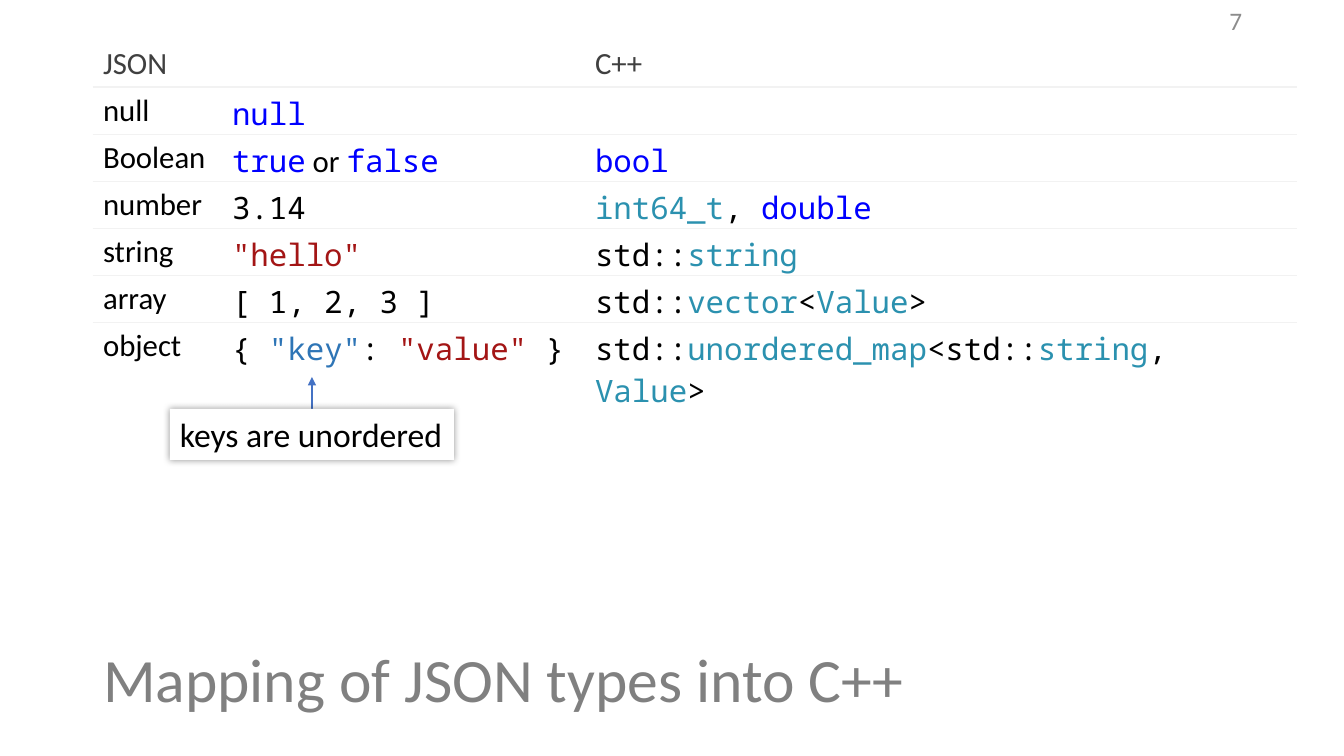
from lxml.etree import SubElement
from pptx import Presentation
from pptx.dml.color import RGBColor
from pptx.enum.shapes import MSO_CONNECTOR as Connector, MSO_SHAPE as Shape
from pptx.enum.text import MSO_ANCHOR as Anchor, MSO_AUTO_SIZE as AutoSize, PP_ALIGN as Align
from pptx.oxml import parse_xml
from pptx.oxml.ns import nsdecls, qn
from pptx.util import Pt

PX = 914400 / 100.8
COLORS = {
    "title": "808080", "number": "8C8C8C", "header": "404040", "text": "000000",
    "keyword": "0000FF", "type": "2B91AF", "literal": "A31515", "key": "2E75B6",
    "rule": "F2F2F2", "arrow": "4472C4", "paper": "FFFFFF",
}
SANS, MONO = "Calibri", "Noto Sans Mono"
NO_STYLE = "{2D5ABB26-0587-4C30-8999-92F81FD0307C}"
COLUMNS = [129, 363, 712]
ROW_HEIGHT = 41
STD = ("std::", "text")
ROWS = [
    ("null", [("null", "keyword")], []),
    ("Boolean", [("true", "keyword"), (" or ", "text", SANS), ("false", "keyword")],
     [("bool", "keyword")]),
    ("number", [("3.14", "text")],
     [("int64_t", "type"), (", ", "text"), ("double", "keyword")]),
    ("string", [('"hello"', "literal")], [STD, ("string", "type")]),
    ("array", [("[ 1, 2, 3 ]", "text")],
     [STD, ("vector", "type"), ("<", "text"), ("Value", "type"), (">", "text")]),
    ("object",
     [("{ ", "text"), ('"key"', "key"), (": ", "text"), ('"value"', "literal"), (" }", "text")],
     [STD, ("unordered_map", "type"), ("<std::", "text"), ("string", "type"),
      (", ", "text"), ("Value", "type"), (">", "text")]),
]


def px(length):
    """Turn px into EMU."""
    return round(length * PX)


def color(name):
    """Return a named colour."""
    return RGBColor.from_string(COLORS[name])


def add_span(para, text, tint, size, font=SANS):
    """Append one formatted run to a paragraph."""
    span = para.add_run()
    span.text = text
    span.font.name = font
    span.font.size = Pt(size)
    span.font.color.rgb = color(tint)


def add_title(page, box, text):
    """Move the title placeholder into the box and fill it."""
    title = page.shapes.title
    title.left, title.top, title.width, title.height = map(px, box)
    frame = title.text_frame
    frame.auto_size = AutoSize.NONE
    frame.vertical_anchor = Anchor.MIDDLE
    para = frame.paragraphs[0]
    para.alignment = Align.LEFT
    para.line_spacing = 0.9
    add_span(para, text, "title", 44)


def add_page_number(page, box, number):
    """Write the page number at the right of the box."""
    frame = page.shapes.add_textbox(*map(px, box)).text_frame
    frame.word_wrap = True
    frame.vertical_anchor = Anchor.MIDDLE
    para = frame.paragraphs[0]
    para.alignment = Align.RIGHT
    add_span(para, number, "number", 18)


def add_rule(cell, side):
    """Draw a thin line on one side of a cell."""
    line = parse_xml(
        f'<a:{side} {nsdecls("a")} w="12700"><a:solidFill>'
        f'<a:srgbClr val="{COLORS["rule"]}"/></a:solidFill></a:{side}>')
    properties = cell._tc.get_or_add_tcPr()
    properties.insert(len(properties) - 1, line)


def add_type_table(page, left, top):
    """Place the table of JSON and C++ types."""
    header = [[("JSON", "header", SANS)], [], [("C++", "header", SANS)]]
    rows = [header] + [[[(name, "text", SANS)], json, cpp] for name, json, cpp in ROWS]
    box = (left, top, sum(COLUMNS), ROW_HEIGHT * len(rows))
    table = page.shapes.add_table(len(rows), len(COLUMNS), *map(px, box)).table
    table.first_row = table.horz_banding = False
    table._tbl.tblPr.find(qn("a:tableStyleId")).text = NO_STYLE
    for column, width in zip(table.columns, COLUMNS):
        column.width = px(width)
    for r, row in enumerate(rows):
        table.rows[r].height = px(ROW_HEIGHT)
        for c, spans in enumerate(row):
            cell = table.cell(r, c)
            cell.fill.background()
            if r > 0:
                add_rule(cell, "lnT")
            if r < len(rows) - 1:
                add_rule(cell, "lnB")
            for text, tint, *font in spans:
                add_span(cell.text_frame.paragraphs[0], text, tint, 22, *(font or [MONO]))


def add_callout(page, box, text, reach):
    """Place a shadowed note with an arrow rising from its top centre."""
    left, top, width, height = box
    middle = left + width // 2
    arrow = page.shapes.add_connector(
        Connector.STRAIGHT, px(middle), px(top), px(middle), px(top - reach))
    arrow.line.color.rgb = color("arrow")
    arrow.line.width = Pt(2)
    SubElement(arrow.line._get_or_add_ln(), qn("a:tailEnd"), type="triangle")
    SubElement(arrow._element.spPr, qn("a:effectLst"))

    note = page.shapes.add_shape(Shape.RECTANGLE, *map(px, box))
    note.fill.solid()
    note.fill.fore_color.rgb = color("paper")
    note.line.fill.background()
    note.shadow.inherit = False
    effects = note._element.spPr.find(qn("a:effectLst"))
    shadow = SubElement(effects, qn("a:outerShdw"), blurRad=str(Pt(5)), dist="0",
                        algn="ctr", rotWithShape="0")
    tint = SubElement(shadow, qn("a:srgbClr"), val=COLORS["text"])
    SubElement(tint, qn("a:alpha"), val="40000")
    frame = note.text_frame
    frame.word_wrap = False
    frame.auto_size = AutoSize.SHAPE_TO_FIT_TEXT
    frame.vertical_anchor = Anchor.TOP
    para = frame.paragraphs[0]
    para.alignment = Align.LEFT
    add_span(para, text, "text", 24)


def main():
    """Build and save the deck."""
    deck = Presentation()
    deck.slide_width, deck.slide_height = px(1344), px(756)
    page = deck.slides.add_slide(deck.slide_layouts[5])
    add_title(page, (93, 610, 1159, 146), "Mapping of JSON types into C++")
    add_page_number(page, (950, 0, 302, 40), "7")
    add_type_table(page, 93, 40)
    add_callout(page, (170, 409, 284, 51), "keys are unordered", 32)
    deck.save("out.pptx")


if __name__ == "__main__":
    main()
